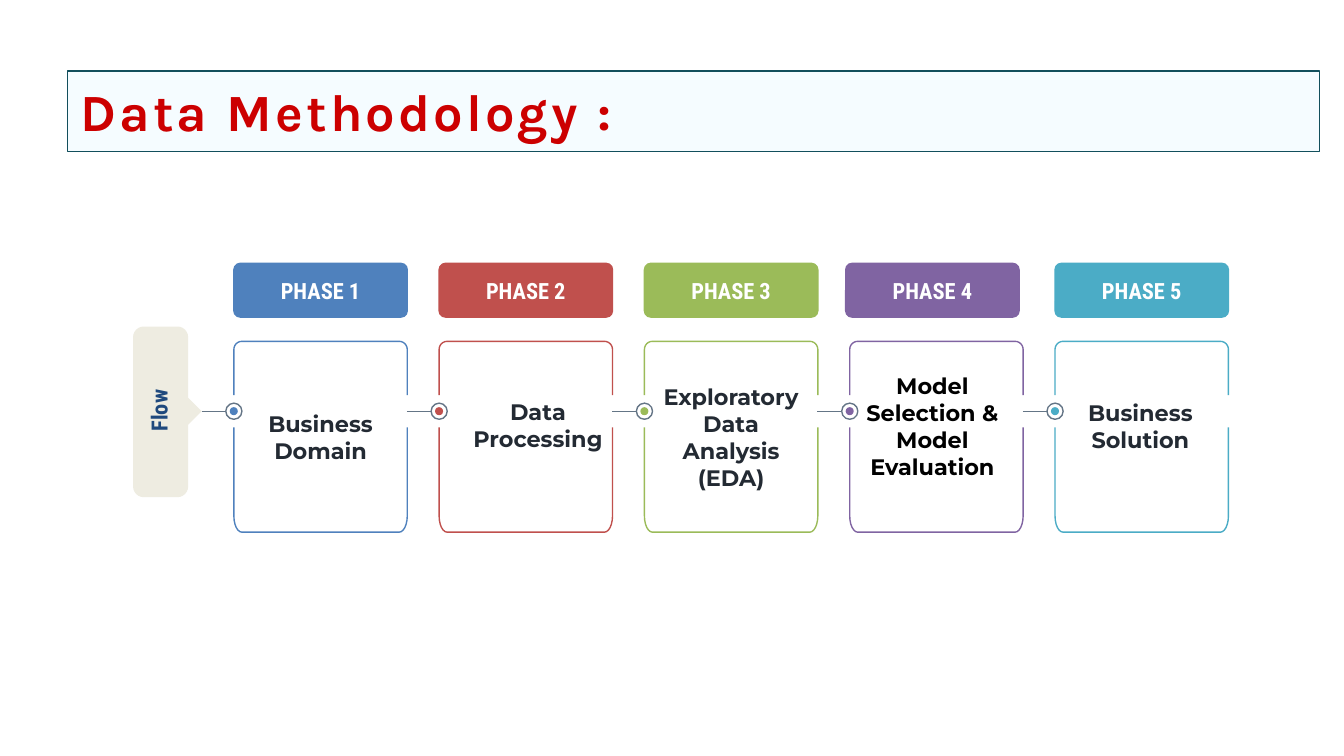
from math import cos, radians, sin
from lxml.etree import SubElement
from pptx import Presentation
from pptx.dml.color import RGBColor as Rgb
from pptx.enum.shapes import MSO_CONNECTOR as Link, MSO_SHAPE as Kind
from pptx.enum.text import MSO_ANCHOR as Anchor, PP_ALIGN as Align
from pptx.oxml.ns import qn
from pptx.util import Inches, Pt

HUES = {
    "blue": "4F81BD", "red": "C0504D", "green": "9BBB59",
    "purple": "8064A2", "teal": "4BACC6", "grey": "647586",
    "ink": "232A33", "black": "000000", "white": "FFFFFF",
    "sand": "EEECE1", "navy": "1F497D", "ice": "F5FCFF",
    "edge": "124F5C", "title": "CC0000",
}

# hue, body text, text hue, label shift, text shift across, text shift down
PHASES = [
    ("blue", "Business Domain", "ink", 0, 0, 0),
    ("red", "Data Processing", "ink", 0, 0.09, -0.09),
    ("green", "Exploratory Data Analysis (EDA)", "ink", 0, 0, 0),
    ("purple", "Model Selection & Model Evaluation", "black", -0.03, -0.03, -0.08),
    ("teal", "Business Solution", "ink", 0, -0.01, -0.08),
]

# Grid: first and last column, pitch and width; row edges of the cards
LEFT, LAST, WIDE = 1.74, 7.85, 1.29
STEP = (LAST - LEFT) / (len(PHASES) - 1)
TOP, BASE, MID = 2.54, 3.96, 3.06
GAP, ROW, TAG = 0.12, 1.96, 0.4
CURVE = 0.06

deck = Presentation()
deck.slide_width = Inches(10)
deck.slide_height = deck.slide_width * 9 // 16
shapes = deck.slides.add_slide(deck.slide_layouts[6]).shapes
looks = []  # (shape, fill hue, line hue), painted at the end


def trace(turns, close=False):
    """Join clockwise quarter turns (x, y, rx, ry, start angle); zero radii give a sharp point."""
    dots = []
    for x, y, rx, ry, start in turns:
        for turn in range(0, 91, 15) if rx else [0]:
            arc = radians(start + turn)
            dots.append((Inches(x + rx * cos(arc)), Inches(y + ry * sin(arc))))
    path = shapes.build_freeform(*dots[0], scale=1.0)
    path.add_line_segments(dots[1:], close=close)
    return path.convert_to_shape()


def write(shape, text, font, hue, size=12, align=Align.CENTER):
    frame = shape.text_frame
    frame.text = text
    frame.word_wrap = True
    frame.vertical_anchor = Anchor.MIDDLE
    frame.margin_left = frame.margin_right = Inches(0.1)
    frame.margin_top = frame.margin_bottom = Inches(0.1)
    para = frame.paragraphs[0]
    para.alignment = align
    face = para.runs[0].font
    face.name, face.size, face.bold = font, Pt(size), True
    face.color.rgb = Rgb.from_string(HUES[hue])
    return frame


# Cards with their connecting lines and markers
for col in range(len(PHASES)):
    hue = PHASES[col][0]
    x = LEFT + col * STEP
    end = x + WIDE
    lid = trace([
        (x, MID - GAP, 0, 0, 0),
        (x + CURVE, TOP + CURVE, CURVE, CURVE, 180),
        (end - CURVE, TOP + CURVE, CURVE, CURVE, 270),
        (end, MID - GAP, 0, 0, 0),
    ])
    cup = trace([
        (end, MID + GAP, 0, 0, 0),
        (end - CURVE, BASE - 2 * CURVE, CURVE, 2 * CURVE, 0),
        (x + CURVE, BASE - 2 * CURVE, CURVE, 2 * CURVE, 90),
        (x, MID + GAP, 0, 0, 0),
    ])
    looks += [(lid, None, hue), (cup, None, hue)]

    line = shapes.add_connector(
        Link.STRAIGHT, Inches(x - 0.24), Inches(MID), Inches(x - CURVE), Inches(MID))
    line.line.color.rgb = Rgb.from_string(HUES["grey"])
    line.line.width = Pt(0.75)
    SubElement(line._element.spPr, qn("a:effectLst"))

    for size, fill, edge in [(0.12, None, "grey"), (0.06, hue, None)]:
        dot = shapes.add_shape(
            Kind.OVAL, Inches(x - size / 2), Inches(MID - size / 2),
            Inches(size), Inches(size))
        looks.append((dot, fill, edge))

# Phase labels and card texts
for col, (hue, text, ink, slip, across, down) in enumerate(PHASES):
    x = LEFT + col * STEP
    tag = shapes.add_shape(
        Kind.ROUNDED_RECTANGLE, Inches(x + slip), Inches(ROW), Inches(WIDE), Inches(TAG))
    tag.adjustments[0] = 0.12
    looks.append((tag, hue, hue))
    write(tag, f"PHASE {col + 1}", "Roboto Condensed", "white")
    body = shapes.add_textbox(
        Inches(x + across), Inches(TOP + down), Inches(WIDE), Inches(BASE - TOP))
    write(body, text, "Montserrat", ink)

# Flow tab, pointing at the first card
west, east, north, south, bend = 0.99, 1.4, 2.43, 3.7, 0.08
flow = trace([
    (west + bend, north + bend, bend, bend, 180),
    (east - bend, north + bend, bend, bend, 270),
    (east, MID - 0.1, 0, 0, 0),
    (east + 0.1, MID, 0, 0, 0),
    (east, MID + 0.1, 0, 0, 0),
    (east - bend, south - bend, bend, bend, 0),
    (west + bend, south - bend, bend, bend, 90),
], close=True)
looks.append((flow, "sand", None))
word = shapes.add_textbox(Inches(0.55), Inches(2.98), Inches(1.26), Inches(0.15))
word.rotation = 270
write(word, "Flow", "Roboto Condensed", "navy")

# Title bar
bar = shapes.add_shape(Kind.RECTANGLE, Inches(0.5), Inches(0.53), Inches(9.32), Inches(0.6))
looks.append((bar, "ice", "edge"))
frame = write(bar, "Data Methodology :", "Karla", "title", 28, Align.LEFT)
frame.vertical_anchor = Anchor.TOP
frame.margin_top, frame.margin_bottom = Inches(0.06), 0
frame.paragraphs[0].space_before = Pt(4.4)
frame.paragraphs[0].runs[0]._r.get_or_add_rPr().set("spc", "170")

for shape, fill, edge in looks:
    shape.shadow.inherit = False
    if fill:
        shape.fill.solid()
        shape.fill.fore_color.rgb = Rgb.from_string(HUES[fill])
    else:
        shape.fill.background()
    if edge:
        shape.line.color.rgb = Rgb.from_string(HUES[edge])
        shape.line.width = Pt(0.75)
    else:
        shape.line.fill.background()

deck.save("out.pptx")
